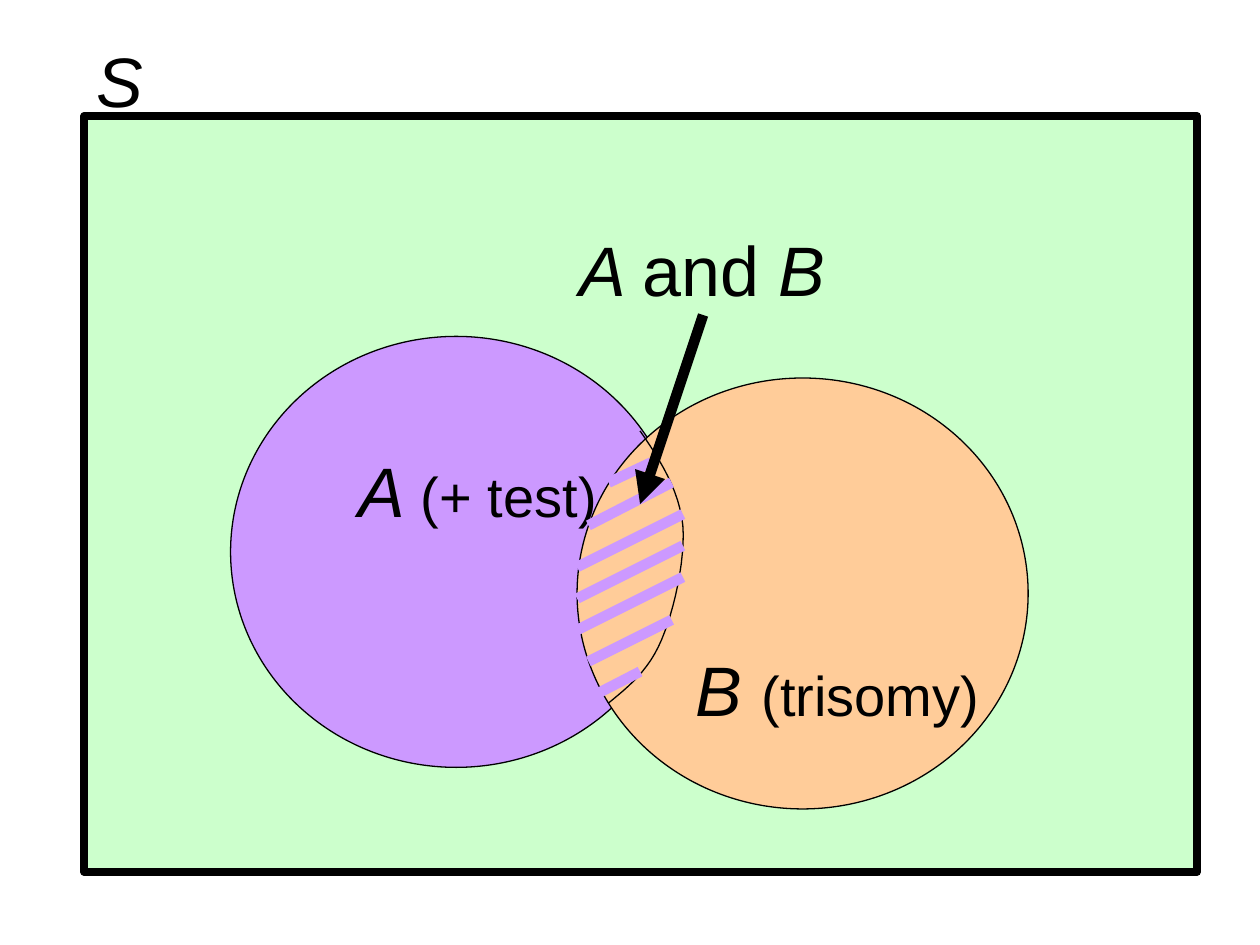
import pptx
import pptx.util
import pptx.dml.color
import pptx.enum.shapes
import pptx.enum.text
import pptx.oxml.ns
from lxml import etree
from pptx.util import Inches

COLORS = {
    "black": "000000",
    "sample_space": "CCFFCC",
    "test": "CC99FF",
    "trisomy": "FFCC99",
}
SHAPES = pptx.enum.shapes.MSO_SHAPE
STRIPES = [
    (4.83, 3.83, 5.17, 3.67),
    (4.67, 4.17, 5.33, 3.83),
    (4.58, 4.5, 5.42, 4.08),
    (4.58, 4.75, 5.42, 4.33),
    (4.58, 5, 5.42, 4.58),
    (4.67, 5.25, 5.33, 4.92),
    (4.75, 5.5, 5.08, 5.33),
]
OVERLAP_CURVES = [
    [(5.08, 3.42), (5.24, 3.65), (5.39, 3.89), (5.42, 4.17)],
    [(5.42, 4.17), (5.44, 4.44), (5.35, 4.85), (5.25, 5.08)],
    [(5.25, 5.08), (5.15, 5.32), (4.99, 5.45), (4.83, 5.58)],
]


def rgb(color):
    return pptx.dml.color.RGBColor.from_string(COLORS[color])


def set_line(shape, color, width):
    shape.line.color.rgb = rgb(color)
    shape.line.width = pptx.util.Pt(width)


def add_region(slide, kind, left, top, width, height, color, line_width):
    shape = slide.shapes.add_shape(
        kind, Inches(left), Inches(top), Inches(width), Inches(height)
    )
    shape.shadow.inherit = False
    shape.fill.solid()
    shape.fill.fore_color.rgb = rgb(color)
    set_line(shape, "black", line_width)


def add_label(slide, left, top, width, runs):
    shape = slide.shapes.add_textbox(
        Inches(left), Inches(top), Inches(width), Inches(0.77)
    )
    frame = shape.text_frame
    frame.word_wrap = True
    frame.auto_size = pptx.enum.text.MSO_AUTO_SIZE.SHAPE_TO_FIT_TEXT
    for text, size, italic in runs:
        run = frame.paragraphs[0].add_run()
        run.text = text
        run.font.name = "Arial"
        run.font.size = pptx.util.Pt(size)
        run.font.italic = italic
        run.font.color.rgb = rgb("black")


def add_line(slide, ends, color, arrow=False):
    connector = slide.shapes.add_connector(
        pptx.enum.shapes.MSO_CONNECTOR.STRAIGHT, *map(Inches, ends)
    )
    set_line(connector, color, 6)
    if arrow:
        etree.SubElement(
            connector.line._get_or_add_ln(),
            pptx.oxml.ns.qn("a:tailEnd"),
            type="triangle",
        )
    properties = connector._element.spPr
    etree.SubElement(properties, pptx.oxml.ns.qn("a:effectLst"))


def curve_point(controls, t):
    weights = ((1 - t) ** 3, 3 * t * (1 - t) ** 2, 3 * t**2 * (1 - t), t**3)
    return tuple(
        Inches(sum(weight * value for weight, value in zip(weights, axis)))
        for axis in zip(*controls)
    )


def add_curve(slide, curves, steps=12):
    start = curve_point(curves[0], 0)
    points = [
        curve_point(controls, step / steps)
        for controls in curves
        for step in range(1, steps + 1)
    ]
    builder = slide.shapes.build_freeform(*start)
    builder.add_line_segments(points, close=False)
    shape = builder.convert_to_shape()
    shape.shadow.inherit = False
    shape.fill.background()
    set_line(shape, "black", 0.75)


def main():
    presentation = pptx.Presentation()
    presentation.slide_width = Inches(10)
    presentation.slide_height = Inches(7.5)
    slide = presentation.slides.add_slide(presentation.slide_layouts[6])

    add_region(slide, SHAPES.RECTANGLE, 0.67, 0.92, 8.83, 6, "sample_space", 4.5)
    add_region(slide, SHAPES.OVAL, 1.83, 2.67, 3.58, 3.42, "test", 0.75)
    add_label(slide, 2.75, 3.5, 2.17, [("A", 40, True), (" (+ test)", 32, False)])
    add_label(slide, 0.67, 0.25, 1.5, [("S", 40, True)])
    add_region(slide, SHAPES.OVAL, 4.58, 3, 3.58, 3.42, "trisomy", 0.75)
    add_curve(slide, OVERLAP_CURVES)
    for ends in STRIPES:
        add_line(slide, ends, "test")
    add_label(slide, 5.42, 5.08, 4.58, [("B ", 40, True), ("(trisomy)", 32, False)])
    add_label(
        slide, 4.5, 1.75, 4, [("A ", 40, True), ("and", 40, False), (" B", 40, True)]
    )
    add_line(slide, (5.58, 2.5, 5.08, 4), "black", arrow=True)

    presentation.save("out.pptx")


if __name__ == "__main__":
    main()
